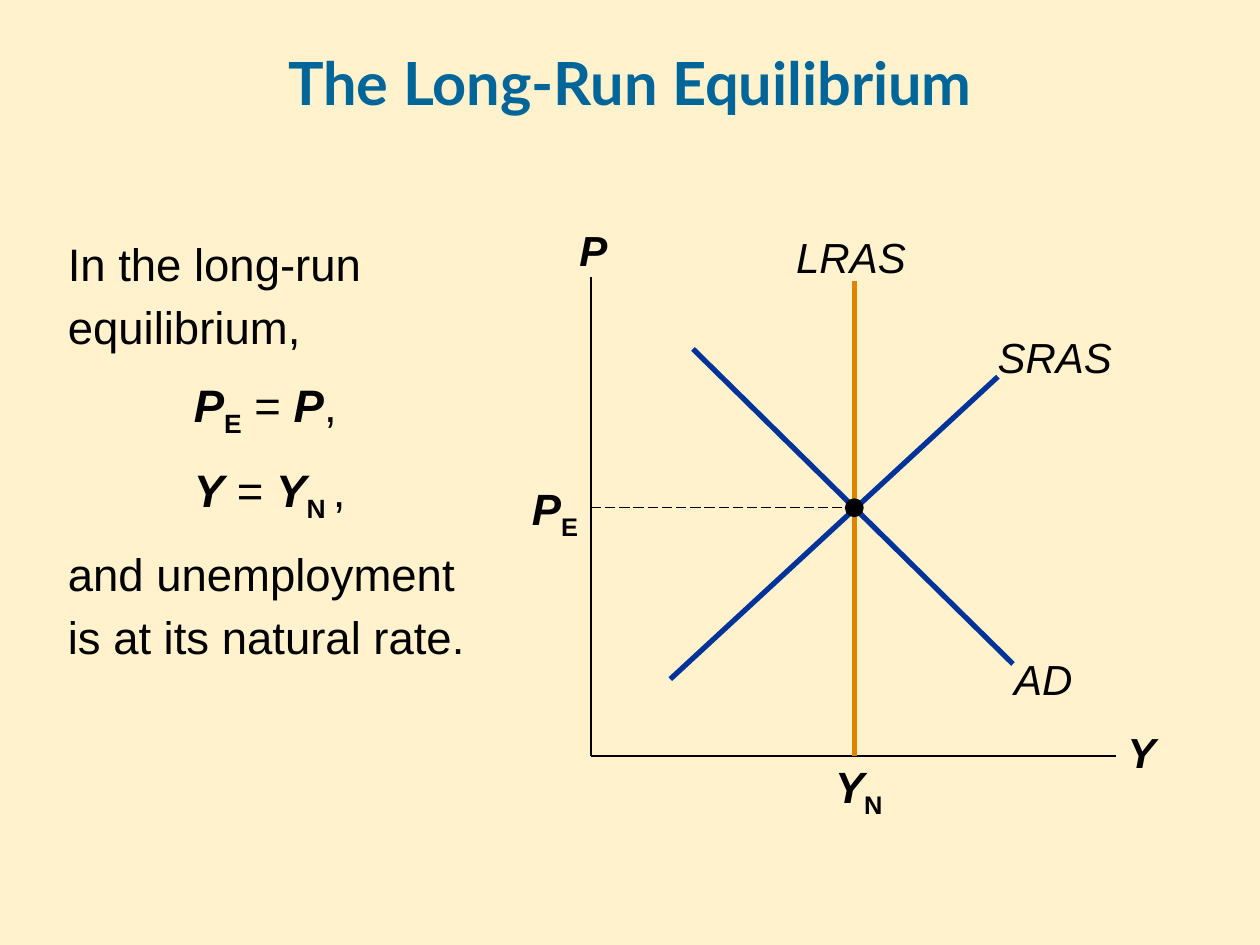
from lxml import etree
from pptx import Presentation
from pptx.dml.color import RGBColor
from pptx.enum.dml import MSO_LINE
from pptx.enum.shapes import MSO_CONNECTOR, MSO_SHAPE
from pptx.enum.text import MSO_ANCHOR, PP_ALIGN
from pptx.oxml.ns import qn
from pptx.util import Inches, Pt

STRAIGHT = MSO_CONNECTOR.STRAIGHT
OVAL = MSO_SHAPE.OVAL
DASH = MSO_LINE.LONG_DASH
MIDDLE = MSO_ANCHOR.MIDDLE
LEFT, CENTER = PP_ALIGN.LEFT, PP_ALIGN.CENTER

BLACK, BLUE, ORANGE = "000000", "003399", "DE8400"
VAR = {"bold": True, "italic": True}
SUB = {"bold": True, "sub": True}


def color(code):
    return RGBColor.from_string(code)


def write(para, text, size=24, font="Arial", fill=BLACK,
          bold=False, italic=False, sub=False):
    run = para.add_run()
    run.text = text
    face = run.font
    face.size, face.name = Pt(size), font
    face.bold, face.italic = bold, italic
    face.color.rgb = color(fill)
    if sub:
        run._r.get_or_add_rPr().set("baseline", "-25000")


def add_box(slide, left, top, width, height, wrap=True):
    box = slide.shapes.add_textbox(
        Inches(left), Inches(top), Inches(width), Inches(height))
    box.text_frame.word_wrap = wrap
    return box.text_frame


def add_label(slide, spot, parts, align=LEFT, size=24, wrap=True, inset=True):
    frame = add_box(slide, *spot, wrap=wrap)
    if not inset:
        frame.margin_left = frame.margin_right = 0
        frame.margin_top = frame.margin_bottom = 0
    para = frame.paragraphs[0]
    para.alignment = align
    for text, style in parts:
        write(para, text, size=size, **style)


def add_line(slide, start, end, fill=BLACK, width=1, dash=None):
    ends = [Inches(n) for n in (*start, *end)]
    line = slide.shapes.add_connector(STRAIGHT, *ends)
    line.line.color.rgb = color(fill)
    line.line.width = Pt(width)
    if dash:
        line.line.dash_style = dash
    etree.SubElement(line._element.spPr, qn("a:effectLst"))


def add_dot(slide, x, y, size):
    dot = slide.shapes.add_shape(
        OVAL, Inches(x - size / 2), Inches(y - size / 2),
        Inches(size), Inches(size))
    dot.shadow.inherit = False
    dot.fill.solid()
    dot.fill.fore_color.rgb = color(BLACK)
    dot.line.fill.background()


def add_tab(para, place):
    tabs = etree.SubElement(para._p.get_or_add_pPr(), qn("a:tabLst"))
    etree.SubElement(tabs, qn("a:tab"), pos=str(Inches(place)), algn="l")


def add_title(slide):
    frame = add_box(slide, 0, 0.29, 10, 0.71)
    frame.vertical_anchor = MIDDLE
    para = frame.paragraphs[0]
    para.alignment = CENTER
    write(para, "The Long-Run Equilibrium", size=34, font="Lato",
          fill="006699", bold=True)


def add_body(slide):
    rows = [
        [("In the long-run equilibrium,", {})],
        [("\t", {}), ("P", VAR), ("E", SUB), (" = ", {}), ("P", VAR),
         (",", {})],
        [("\t", {}), ("Y", VAR), (" = ", {}), ("Y", VAR), ("N ", SUB),
         (",", {})],
        [("and unemployment is at its natural rate.", {})],
    ]
    frame = add_box(slide, 0.44, 1.76, 3.47, 3.52)
    for i, parts in enumerate(rows):
        para = frame.add_paragraph() if i else frame.paragraphs[0]
        para.line_spacing = 1.15
        if i:
            para.space_before = Pt(8)
        if parts[0][0] == "\t":
            add_tab(para, 1)
        for text, style in parts:
            write(para, text, size=26, **style)


def add_graph(slide):
    left, base = 4.69, 6
    x, y = 6.78, 4.03
    add_line(slide, (left, 2.2), (left, base))
    add_line(slide, (left, base), (8.86, base))
    add_line(slide, (5.5, 2.77), (8.04, 5.27), BLUE, 3)
    add_line(slide, (5.32, 5.39), (7.92, 2.99), BLUE, 3)
    add_line(slide, (left, y), (x, y), width=0.75, dash=DASH)
    add_line(slide, (x, 2.23), (x, base), ORANGE, 3)
    add_dot(slide, x, y, 0.15)

    add_label(slide, (4.48, 1.73, 0.46, 0.5), [("P", VAR)], CENTER)
    add_label(slide, (8.81, 5.72, 0.5, 0.5), [("Y", VAR)], CENTER)
    add_label(slide, (4.14, 3.82, 0.53, 0.42), [("P", VAR), ("E", SUB)],
              CENTER, size=25, inset=False)
    add_label(slide, (6.53, 5.98, 0.6, 0.52), [("Y", VAR), ("N", SUB)],
              size=25, wrap=False)
    curves = [("AD", (7.95, 5.14, 0.78, 0.5)),
              ("SRAS", (7.82, 2.58, 1.2, 0.5)),
              ("LRAS", (6.22, 1.79, 1.15, 0.5))]
    for name, spot in curves:
        add_label(slide, spot, [(name, {"italic": True})])


def main():
    deck = Presentation()
    deck.slide_width, deck.slide_height = Inches(10), Inches(7.5)
    slide = deck.slides.add_slide(deck.slide_layouts[6])
    slide.background.fill.solid()
    slide.background.fill.fore_color.rgb = color("FFF2CD")
    add_title(slide)
    add_body(slide)
    add_graph(slide)
    deck.save("out.pptx")


if __name__ == "__main__":
    main()
